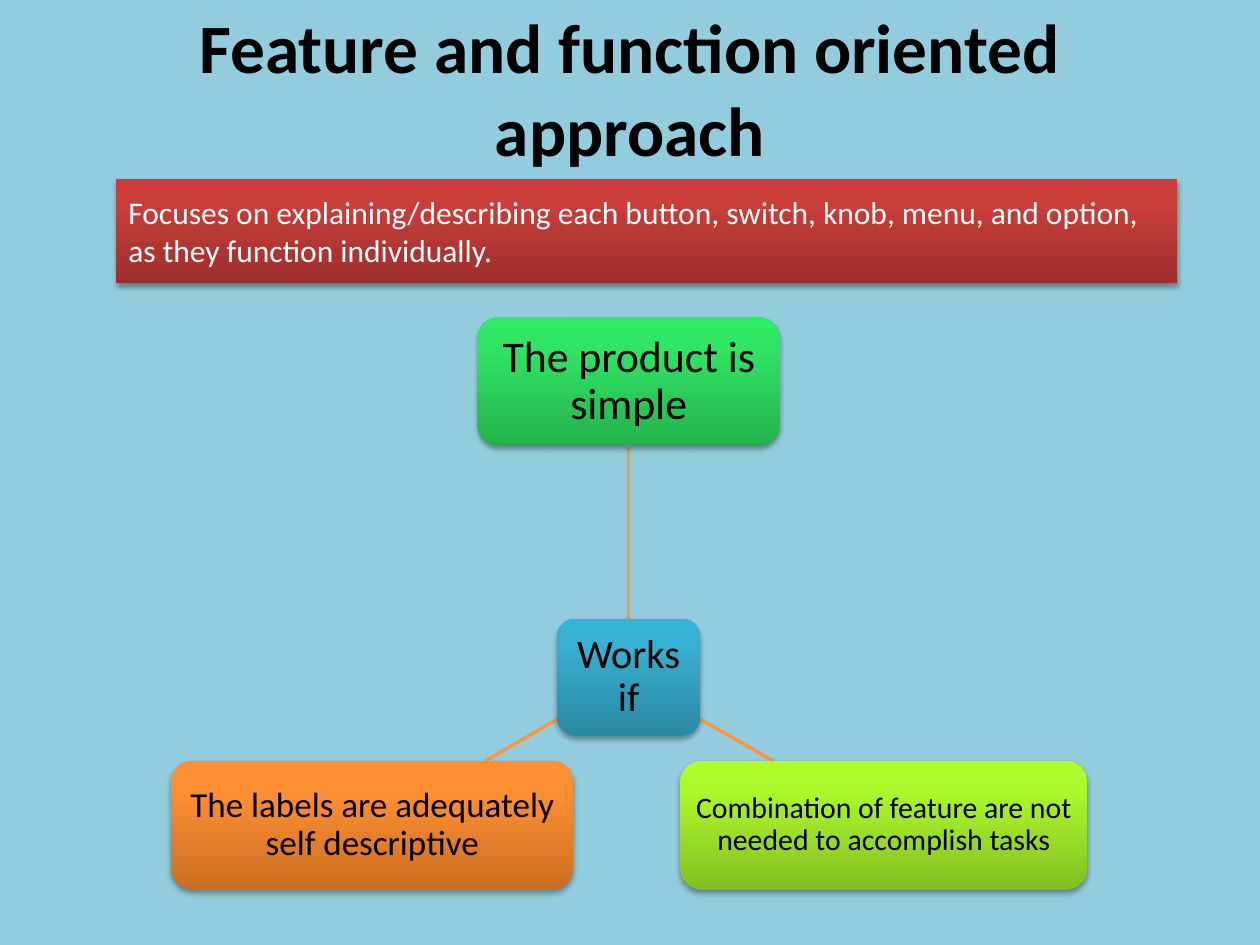
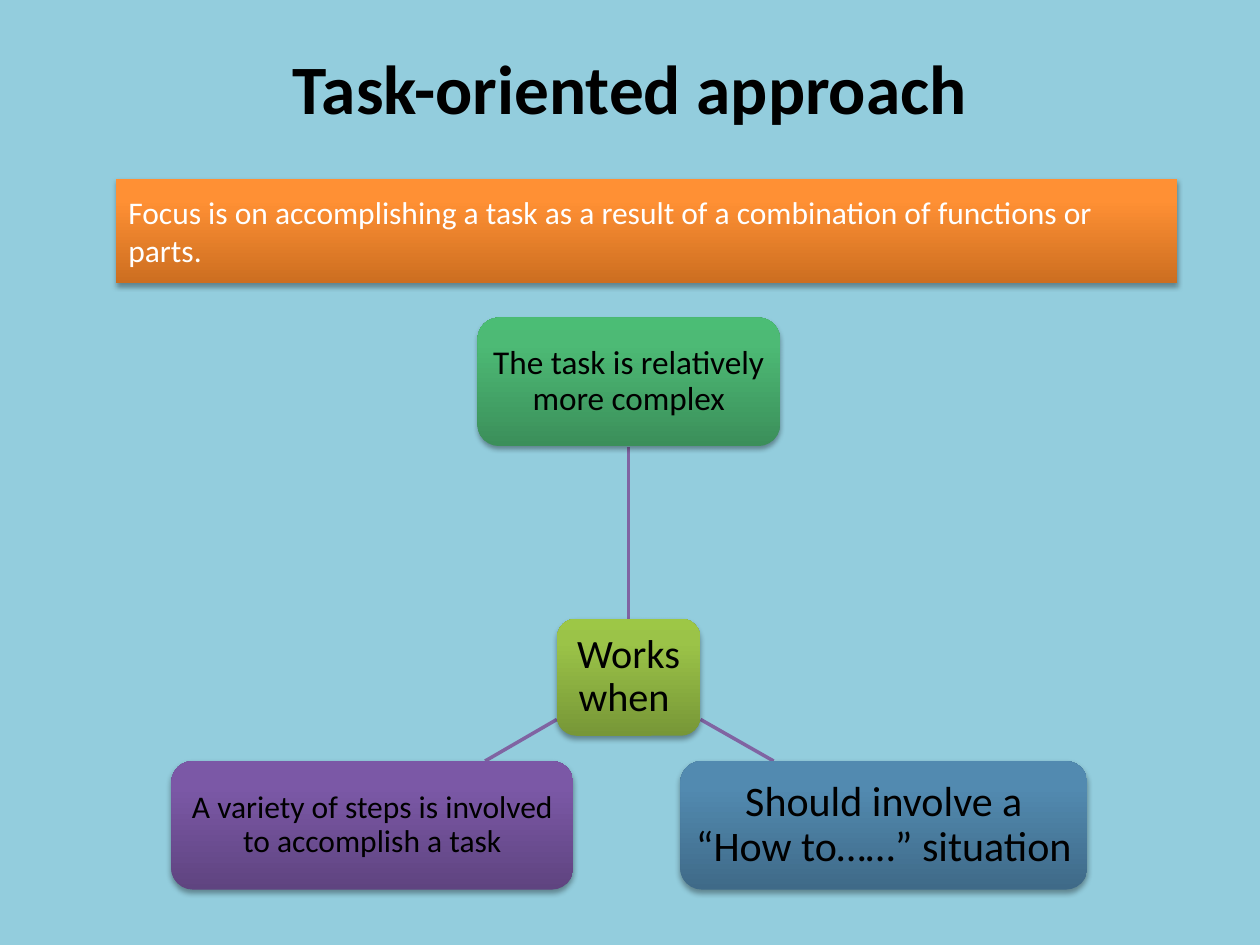
from copy import deepcopy
from typing import NamedTuple

from lxml.etree import SubElement
from pptx import Presentation
from pptx.dml.color import RGBColor
from pptx.enum.shapes import MSO_CONNECTOR, MSO_SHAPE
from pptx.enum.text import MSO_ANCHOR, PP_ALIGN
from pptx.oxml.ns import qn
from pptx.util import Inches, Pt

BACKGROUND = RGBColor(0x93, 0xCD, 0xDD)
BLACK = RGBColor(0x00, 0x00, 0x00)
WHITE = RGBColor(0xFF, 0xFF, 0xFF)
ORANGE_LINE = RGBColor(0xF7, 0x96, 0x46)
PURPLE_LINE = RGBColor(0x80, 0x64, 0xA2)
FONT = "Calibri"


class Gradient(NamedTuple):
    """Colours from the bottom edge (0 %) through 80 % to the top edge."""
    bottom: RGBColor
    upper: RGBColor
    top: RGBColor


def gradient(*hex_colours: str) -> Gradient:
    return Gradient(*map(RGBColor.from_string, hex_colours))


RED = gradient("9C2F2D", "CB3E3A", "CE3B37")
ORANGE = gradient("CC6E20", "FF9034", "FF9136")
TEAL = gradient("2A88A2", "37B1D2", "34B4D6")
BRIGHT_GREEN = gradient("25B24E", "30E765", "2DEB64")
LIME = gradient("85C022", "ADF92C", "AFFE28")
OLIVE = gradient("779737", "9BC348", "9DC746")
SEA_GREEN = gradient("3B8F5A", "4DBA75", "4BBD75")
STEEL_BLUE = gradient("3F6A88", "528AB0", "518BB3")
PURPLE = gradient("5F4480", "7B58A6", "7C57A8")


class Box(NamedTuple):
    left: float
    top: float
    width: float
    height: float


class Node(NamedTuple):
    text: str
    size: int
    inset: float
    colours: Gradient


class Approach(NamedTuple):
    title: str
    summary: str
    banner_colours: Gradient
    line_colour: RGBColor
    nodes: tuple[Node, ...]  # hub, top, right, left


TITLE_BOX = Box(0.5, 0.3, 9, 0.78)
BANNER_BOX = Box(0.92, 1.42, 8.42, 0.83)
NODE_BOXES = (
    Box(4.42, 4.91, 1.14, 0.93),
    Box(3.79, 2.52, 2.4, 1.02),
    Box(5.4, 6.04, 3.23, 1.02),
    Box(1.36, 6.04, 3.19, 1.02),
)
SPOKES = (
    (4.99, 4.91, 4.99, 3.55),
    (5.56, 5.71, 6.14, 6.04),
    (4.42, 5.71, 3.85, 6.04),
)

APPROACHES = (
    Approach(
        "Feature and function oriented approach",
        "Focuses on explaining/describing each button, switch, knob, menu, "
        "and option, as they function individually.",
        RED,
        ORANGE_LINE,
        (
            Node("Works if", 23, 0.06, TEAL),
            Node("The product is simple", 25, 0.07, BRIGHT_GREEN),
            Node("Combination of feature are not needed to accomplish tasks",
                 17, 0.05, LIME),
            Node("The labels are adequately self descriptive", 20, 0.06, ORANGE),
        ),
    ),
    Approach(
        "Task-oriented approach",
        "Focus is on accomplishing a task as a result of a combination of "
        "functions or parts.",
        ORANGE,
        PURPLE_LINE,
        (
            Node("Works when ", 23, 0.06, OLIVE),
            Node("The task is relatively more complex", 19, 0.05, SEA_GREEN),
            Node("Should involve a “How to……” situation", 24, 0.07, STEEL_BLUE),
            Node("A variety of steps is involved to accomplish a task",
                 18, 0.05, PURPLE),
        ),
    ),
)


def apply(target, values: dict) -> None:
    for name, value in values.items():
        setattr(target, name, value)


def write_text(shape, text: str, size: float, colour: RGBColor, bold: bool = False,
               alignment=PP_ALIGN.CENTER, line_spacing: float = 1.0) -> None:
    apply(shape.text_frame, {"word_wrap": True, "vertical_anchor": MSO_ANCHOR.MIDDLE})
    paragraph = shape.text_frame.paragraphs[0]
    apply(paragraph, {"alignment": alignment, "line_spacing": line_spacing})
    run = paragraph.add_run()
    run.text = text
    apply(run.font, {"name": FONT, "size": Pt(size), "bold": bold})
    run.font.color.rgb = colour


def fill_gradient(shape, colours: Gradient) -> None:
    shape.fill.gradient()
    shape.fill.gradient_angle = 90
    stop_list = shape._element.spPr.find(qn("a:gradFill")).find(qn("a:gsLst"))
    stop_list.append(deepcopy(stop_list[-1]))
    for stop, position, colour in zip(shape.fill.gradient_stops, (0, 0.8, 1), colours):
        stop.position = position
        stop.color.rgb = colour


def add_shadow(shape) -> None:
    """Give the shape a soft shadow just below it."""
    shape.shadow.inherit = False
    effects = shape._element.spPr.find(qn("a:effectLst"))
    shadow = SubElement(effects, qn("a:outerShdw"), blurRad=str(Pt(3.1)),
                        dist=str(Pt(1.8)), dir="5400000", rotWithShape="0")
    colour = SubElement(shadow, qn("a:srgbClr"), val=str(BLACK))
    SubElement(colour, qn("a:alpha"), val="35000")


def add_panel(slide, kind: MSO_SHAPE, box: Box, colours: Gradient):
    shape = slide.shapes.add_shape(kind, *map(Inches, box))
    fill_gradient(shape, colours)
    shape.line.fill.background()
    add_shadow(shape)
    return shape


def add_title(slide, title: str) -> None:
    text_box = slide.shapes.add_textbox(*map(Inches, TITLE_BOX))
    write_text(text_box, title, 39.6, BLACK, bold=True)


def add_banner(slide, approach: Approach) -> None:
    banner = add_panel(slide, MSO_SHAPE.RECTANGLE, BANNER_BOX, approach.banner_colours)
    write_text(banner, approach.summary, 18, WHITE, alignment=PP_ALIGN.LEFT)


def add_node(slide, node: Node, box: Box) -> None:
    shape = add_panel(slide, MSO_SHAPE.ROUNDED_RECTANGLE, box, node.colours)
    sides = ("left", "top", "right", "bottom")
    apply(shape.text_frame, {f"margin_{side}": Inches(node.inset) for side in sides})
    write_text(shape, node.text, node.size, BLACK, line_spacing=0.9)


def add_spoke(slide, ends: tuple[float, ...], colour: RGBColor) -> None:
    connector = slide.shapes.add_connector(MSO_CONNECTOR.STRAIGHT, *map(Inches, ends))
    connector.line.color.rgb = colour
    connector.line.width = Pt(2)
    SubElement(connector._element.spPr, qn("a:effectLst"))


def add_approach_slide(presentation, approach: Approach) -> None:
    slide = presentation.slides.add_slide(presentation.slide_layouts[6])
    slide.background.fill.solid()
    slide.background.fill.fore_color.rgb = BACKGROUND
    add_title(slide, approach.title)
    for ends in SPOKES:
        add_spoke(slide, ends, approach.line_colour)
    for node, box in zip(approach.nodes, NODE_BOXES):
        add_node(slide, node, box)
    add_banner(slide, approach)


def main() -> None:
    presentation = Presentation()
    apply(presentation, {"slide_width": Inches(10), "slide_height": Inches(7.5)})
    for approach in APPROACHES:
        add_approach_slide(presentation, approach)
    presentation.save("out.pptx")


if __name__ == "__main__":
    main()
